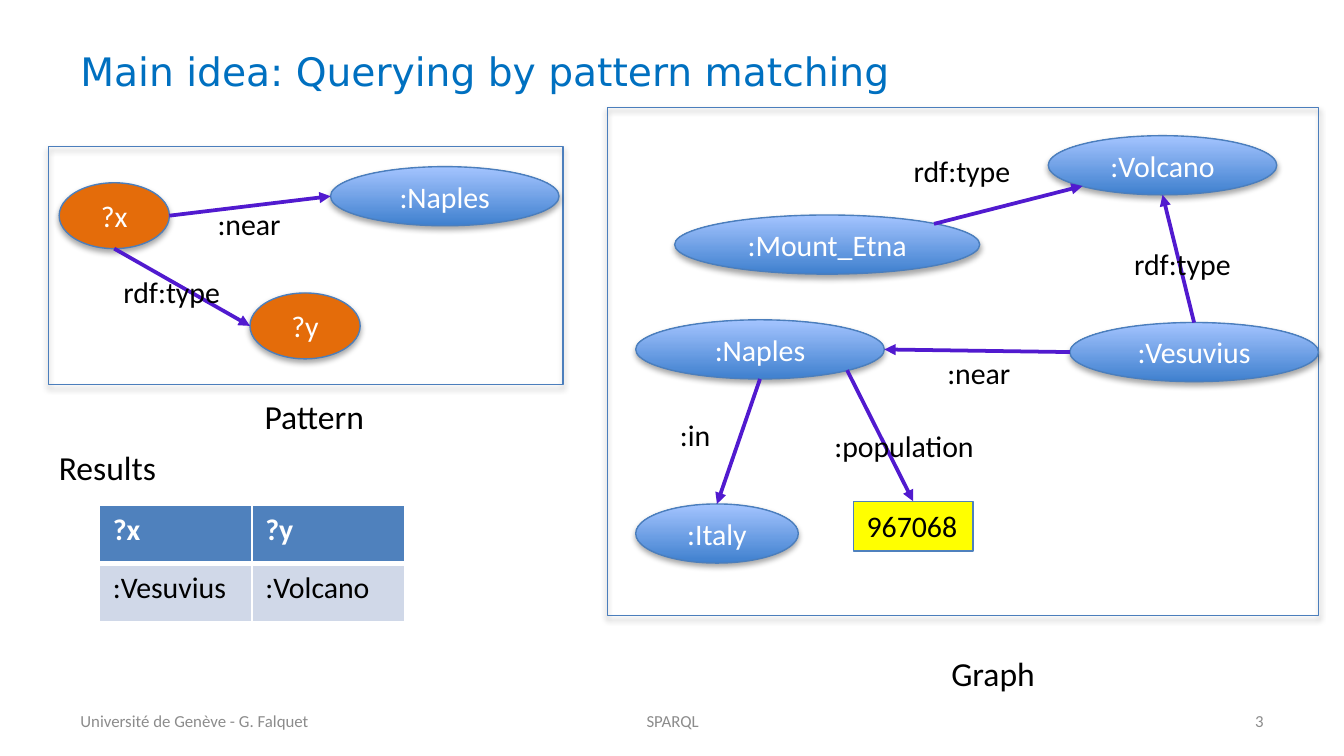
from lxml import etree
from pptx import Presentation
from pptx import util as u
from pptx.dml.color import RGBColor
from pptx.enum import shapes, text
from pptx.oxml.ns import qn

HUES = {
    "title": "0070C0", "foot": "8C8C8C", "edge": "4B7EBC", "arrow": "511ACF",
    "var": "E46C0A", "low": "3F80CE", "high": "A4C4FF", "value": "FFFF00",
    "head": "4F81BD", "row": "D0D8E8", "ink": "000000", "paper": "FFFFFF",
}
HUES = {name: RGBColor.from_string(code) for name, code in HUES.items()}
LEFT, MID, RIGHT = text.PP_ALIGN.LEFT, text.PP_ALIGN.CENTER, text.PP_ALIGN.RIGHT
TOP, CORE = text.MSO_ANCHOR.TOP, text.MSO_ANCHOR.MIDDLE
OVAL, RECT = shapes.MSO_SHAPE.OVAL, shapes.MSO_SHAPE.RECTANGLE
GROW = text.MSO_AUTO_SIZE.SHAPE_TO_FIT_TEXT

deck = Presentation()
deck.slide_width = u.Inches(10)
deck.slide_height = deck.slide_width * 9 // 16
slide = deck.slides.add_slide(deck.slide_layouts[6])
UNIT = deck.slide_width / 100  # the slide is a grid of 100 square columns


def grid(*cells):
    """Turn grid columns and rows into slide lengths."""
    return [round(cell * UNIT) for cell in cells]


def write(frame, words, size, hue, align=LEFT, anchor=TOP, wrap=True, face="Calibri", bold=False):
    for key, value in {"text": words, "word_wrap": wrap, "vertical_anchor": anchor}.items():
        setattr(frame, key, value)
    para = frame.paragraphs[0]
    para.alignment = align
    font = para.runs[0].font
    for key, value in {"name": face, "size": u.Pt(size), "bold": bold}.items():
        setattr(font, key, value)
    font.color.rgb = HUES[hue]


# Title and footer
for words, box, size, hue, align, face in [
    ("Main idea: Querying by pattern matching", (5, 2.3, 90, 6), 21, "title", LEFT, "DejaVu Sans"),
    ("Université de Genève - G. Falquet", (5, 52.1, 29.2, 3), 9, "foot", LEFT, "Calibri"),
    ("SPARQL", (34.2, 52.1, 31.7, 3), 9, "foot", MID, "Calibri"),
    ("3", (71.7, 52.1, 23.3, 3), 9, "foot", RIGHT, "Calibri"),
]:
    area = slide.shapes.add_textbox(*grid(*box))
    write(area.text_frame, words, size, hue, align, CORE, face=face)

# Frames around the pattern and the graph
for box in [(3.6, 10.9, 38.3, 17.7), (45.2, 8, 52.9, 37.8)]:
    frame = slide.shapes.add_shape(RECT, *grid(*box))
    frame.fill.background()
    frame.line.color.rgb = HUES["edge"]
    frame.line.width = u.Pt(0.75)

# Nodes: ovals keep the theme's soft shadow, the plain value box has none
nodes = {}
for name, kind, words, *box in [
    ("x", "var", "?x", 4.4, 13.6, 8.2, 4.9),
    ("y", "var", "?y", 18.6, 21.8, 8.2, 4.9),
    ("goal", "term", ":Naples", 24.6, 12.4, 17, 4.4),
    ("etna", "term", ":Mount_Etna", 50.2, 16, 22.7, 4.4),
    ("vesuvius", "term", ":Vesuvius", 79.6, 24, 18.5, 4.4),
    ("naples", "term", ":Naples", 47.3, 23.8, 18.5, 4.4),
    ("volcano", "term", ":Volcano", 78, 10.1, 17, 4.4),
    ("italy", "term", ":Italy", 47.3, 37.5, 12.1, 4.4),
    ("count", "value", "967068", 63.5, 37.3, 8.9, 3.7),
]:
    plain = kind == "value"
    node = slide.shapes.add_shape(RECT if plain else OVAL, *grid(*box))
    if kind == "term":
        node.fill.gradient()
        node.fill.gradient_angle = 90
        for stop, hue in zip(node.fill.gradient_stops, ("low", "high")):
            stop.color.rgb = HUES[hue]
    else:
        node.fill.solid()
        node.fill.fore_color.rgb = HUES[kind]
    node.line.color.rgb = HUES["head" if plain else "edge"]
    node.line.width = u.Pt(0.75)
    if plain:
        node.shadow.inherit = False
        write(node.text_frame, words, 16, "ink", wrap=False)
        node.text_frame.auto_size = GROW
    else:
        write(node.text_frame, words, 16, "paper", MID, CORE, wrap=False)
    nodes[name] = box

# Arrows run between sites, given as shares of a node's box
SITES = {
    "n": (0.5, 0), "s": (0.5, 1), "w": (0, 0.5), "e": (1, 0.5),
    "ne": (0.85, 0.15), "sw": (0.15, 0.85), "se": (0.85, 0.85),
}
for start, out, end, into in [
    ("x", "e", "goal", "w"),
    ("x", "s", "y", "w"),
    ("etna", "ne", "volcano", "sw"),
    ("vesuvius", "n", "volcano", "s"),
    ("vesuvius", "w", "naples", "e"),
    ("naples", "s", "italy", "n"),
    ("naples", "se", "count", "n"),
]:
    ends = []
    for name, site in ((start, out), (end, into)):
        left, top, wide, high = nodes[name]
        across, down = SITES[site]
        ends += [left + wide * across, top + high * down]
    arrow = slide.shapes.add_connector(shapes.MSO_CONNECTOR.STRAIGHT, *grid(*ends))
    arrow.line.color.rgb = HUES["arrow"]
    arrow.line.width = u.Pt(2)
    props = arrow.element.spPr
    etree.SubElement(props.find(qn("a:ln")), qn("a:tailEnd"), type="triangle")
    etree.SubElement(props, qn("a:effectLst"))

# Arrow labels and captions
for words, size, left, top, wide, high, wrap in [
    (":near", 16, 15.2, 14.8, 6.8, 3.7, False),
    ("rdf:type", 16, 8.2, 19.9, 9.3, 3.7, False),
    ("rdf:type", 16, 67, 10.9, 9.3, 3.7, False),
    ("rdf:type", 16, 83.4, 17.8, 9.3, 3.7, False),
    (":near", 16, 69.5, 25.9, 6.8, 3.7, False),
    (":in", 16, 49.6, 30.5, 6.8, 3.7, True),
    (":population", 16, 61.1, 31.3, 13.7, 3.7, True),
    ("Pattern", 18, 18.7, 29, 9.5, 4, False),
    ("Graph", 18, 69.8, 48.1, 8.3, 4, False),
    ("Results", 18, 3.4, 32.8, 9.3, 4, False),
]:
    label = slide.shapes.add_textbox(*grid(left, top, wide, high))
    write(label.text_frame, words, size, "ink", wrap=wrap)
    label.text_frame.auto_size = GROW

# Results table, with a thick white rule under the header
rows = [("?x", "?y"), (":Vesuvius", ":Volcano")]
table = slide.shapes.add_table(2, 2, *grid(7.4, 37.6, 22.7, 8.7)).table
for r, row in enumerate(rows):
    for c, words in enumerate(row):
        cell = table.cell(r, c)
        write(cell.text_frame, words, 16, "ink" if r else "paper", bold=not r)
        props = cell._tc.get_or_add_tcPr()
        for side in ("lnL", "lnR", "lnT", "lnB"):
            thick = side == ("lnT" if r else "lnB")
            rule = etree.SubElement(props, qn("a:" + side), w=str(u.Pt(3 if thick else 1)))
            paint = etree.SubElement(rule, qn("a:solidFill"))
            etree.SubElement(paint, qn("a:srgbClr"), val=str(HUES["paper"]))
        cell.fill.solid()
        cell.fill.fore_color.rgb = HUES["row" if r else "head"]

deck.save("out.pptx")
